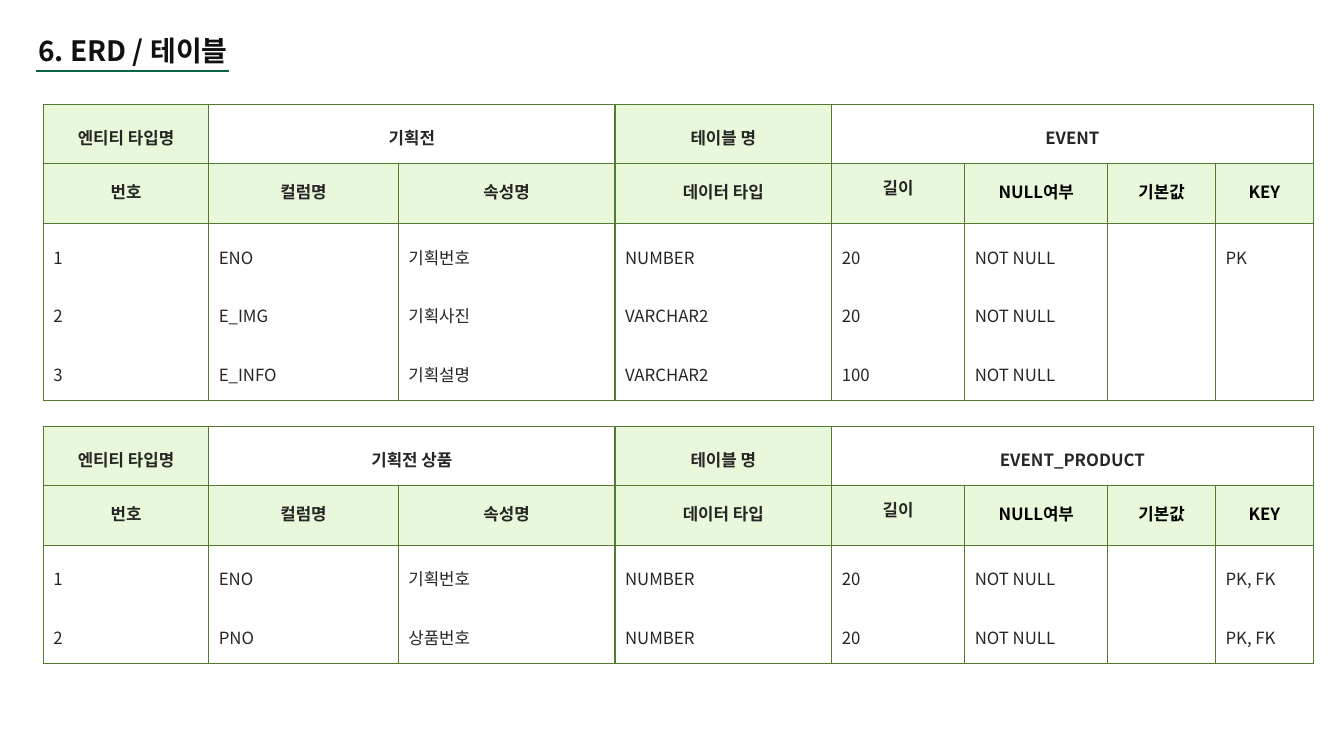
"""Builds the ERD table definition slide."""
from lxml import etree
from pptx import Presentation
from pptx.dml.color import RGBColor
from pptx.enum.shapes import MSO_CONNECTOR
from pptx.enum.text import MSO_ANCHOR as ANCHOR, MSO_AUTO_SIZE, PP_ALIGN as ALIGN
from pptx.oxml import parse_xml
from pptx.oxml.ns import nsdecls, qn
from pptx.util import Pt

FONT = "Noto Sans CJK KR"
TEXT = RGBColor(0x26, 0x26, 0x26)
BLACK = RGBColor(0x00, 0x00, 0x00)
TITLE = RGBColor(0x11, 0x11, 0x11)
BORDER = RGBColor(0x54, 0x7A, 0x31)
PALE_GREEN = RGBColor(0xE9, 0xF8, 0xDA)
WHITE = RGBColor(0xFF, 0xFF, 0xFF)
UNDERLINE = RGBColor(0x08, 0x64, 0x48)

COLUMN_WIDTHS = [118.1, 135.4, 154.8, 154.8, 95, 102.2, 77, 69.8]
ROW_HEIGHT = 42.05
HEADING_HEIGHT = 43.2
HEADINGS = ["번호", "컬럼명", "속성명", "데이터 타입", "길이", "NULL여부", "기본값", "KEY"]
ENTITIES = [
    (74.7, "기획전", "EVENT", [
        ["1", "ENO", "기획번호", "NUMBER", "20", "NOT NULL", "", "PK"],
        ["2", "E_IMG", "기획사진", "VARCHAR2", "20", "NOT NULL", "", ""],
        ["3", "E_INFO", "기획설명", "VARCHAR2", "100", "NOT NULL", "", ""],
    ]),
    (304.5, "기획전 상품", "EVENT_PRODUCT", [
        ["1", "ENO", "기획번호", "NUMBER", "20", "NOT NULL", "", "PK, FK"],
        ["2", "PNO", "상품번호", "NUMBER", "20", "NOT NULL", "", "PK, FK"],
    ]),
]


def add_text(paragraph, text, size, color, bold):
    run = paragraph.add_run()
    run.text = text
    run.font.size = Pt(size)
    run.font.name = FONT
    run.font.bold = bold
    run.font.color.rgb = color
    east_asian = etree.SubElement(run.font._element, qn("a:ea"))
    east_asian.set("typeface", FONT)


def set_borders(cell, visible_sides):
    properties = cell._tc.get_or_add_tcPr()
    for side in "LRTB":
        paint = f'<a:solidFill><a:srgbClr val="{BORDER}"/></a:solidFill>'
        if side not in visible_sides:
            paint = "<a:noFill/>"
        properties.append(parse_xml(
            f'<a:ln{side} {nsdecls("a")} w="{Pt(1)}">{paint}</a:ln{side}>'))


presentation = Presentation()
presentation.slide_width = Pt(960)
presentation.slide_height = Pt(540)
slide = presentation.slides.add_slide(presentation.slide_layouts[6])

for top, entity_name, table_name, records in ENTITIES:
    entity_row = ["엔티티 타입명", entity_name, "", "테이블 명", table_name, "", "", ""]
    rows = [entity_row, HEADINGS] + records
    height = ROW_HEIGHT * (len(rows) - 1) + HEADING_HEIGHT
    frame = slide.shapes.add_table(len(rows), len(COLUMN_WIDTHS), Pt(31), Pt(top),
                                   Pt(sum(COLUMN_WIDTHS)), Pt(height))
    table = frame.table
    table.first_row = False
    table.horz_banding = False
    for column, width in zip(table.columns, COLUMN_WIDTHS):
        column.width = Pt(width)
    table.cell(0, 1).merge(table.cell(0, 2))
    table.cell(0, 4).merge(table.cell(0, 7))

    for row_index, values in enumerate(rows):
        is_heading = row_index == 1
        is_record = row_index > 1
        table.rows[row_index].height = Pt(HEADING_HEIGHT if is_heading else ROW_HEIGHT)
        sides = "LR"
        if row_index <= 2:
            sides += "T"
        if row_index <= 1 or row_index == len(rows) - 1:
            sides += "B"
        for column_index, value in enumerate(values):
            cell = table.cell(row_index, column_index)
            is_length = is_heading and column_index == 4
            set_borders(cell, sides)
            cell.margin_left = cell.margin_right = Pt(7.2)
            cell.margin_top = Pt(0 if is_heading and not is_length else 8.64)
            cell.margin_bottom = Pt(0 if is_length else 3.6)
            cell.vertical_anchor = ANCHOR.TOP if is_length else ANCHOR.MIDDLE
            if is_heading or row_index == 0 and column_index in (0, 3):
                cell.fill.solid()
                cell.fill.fore_color.rgb = PALE_GREEN
            elif is_record and column_index < 4:
                cell.fill.solid()
                cell.fill.fore_color.rgb = WHITE
            else:
                cell.fill.background()
            if value:
                paragraph = cell.text_frame.paragraphs[0]
                paragraph.alignment = ALIGN.LEFT if is_record else ALIGN.CENTER
                color = BLACK if is_heading and column_index > 4 else TEXT
                add_text(paragraph, value, 12, color, not is_record)

title_box = slide.shapes.add_textbox(Pt(20.2), Pt(20.2), Pt(164.2), Pt(31.7))
title_box.text_frame.word_wrap = True
title_box.text_frame.auto_size = MSO_AUTO_SIZE.SHAPE_TO_FIT_TEXT
add_text(title_box.text_frame.paragraphs[0], "6. ERD / 테이블", 20, TITLE, True)

underline = slide.shapes.add_connector(MSO_CONNECTOR.STRAIGHT,
                                       Pt(25.5), Pt(51), Pt(163.5), Pt(51))
underline.line.color.rgb = UNDERLINE
underline.line.width = Pt(1.5)
etree.SubElement(underline._element.spPr, qn("a:effectLst"))

presentation.save("out.pptx")
